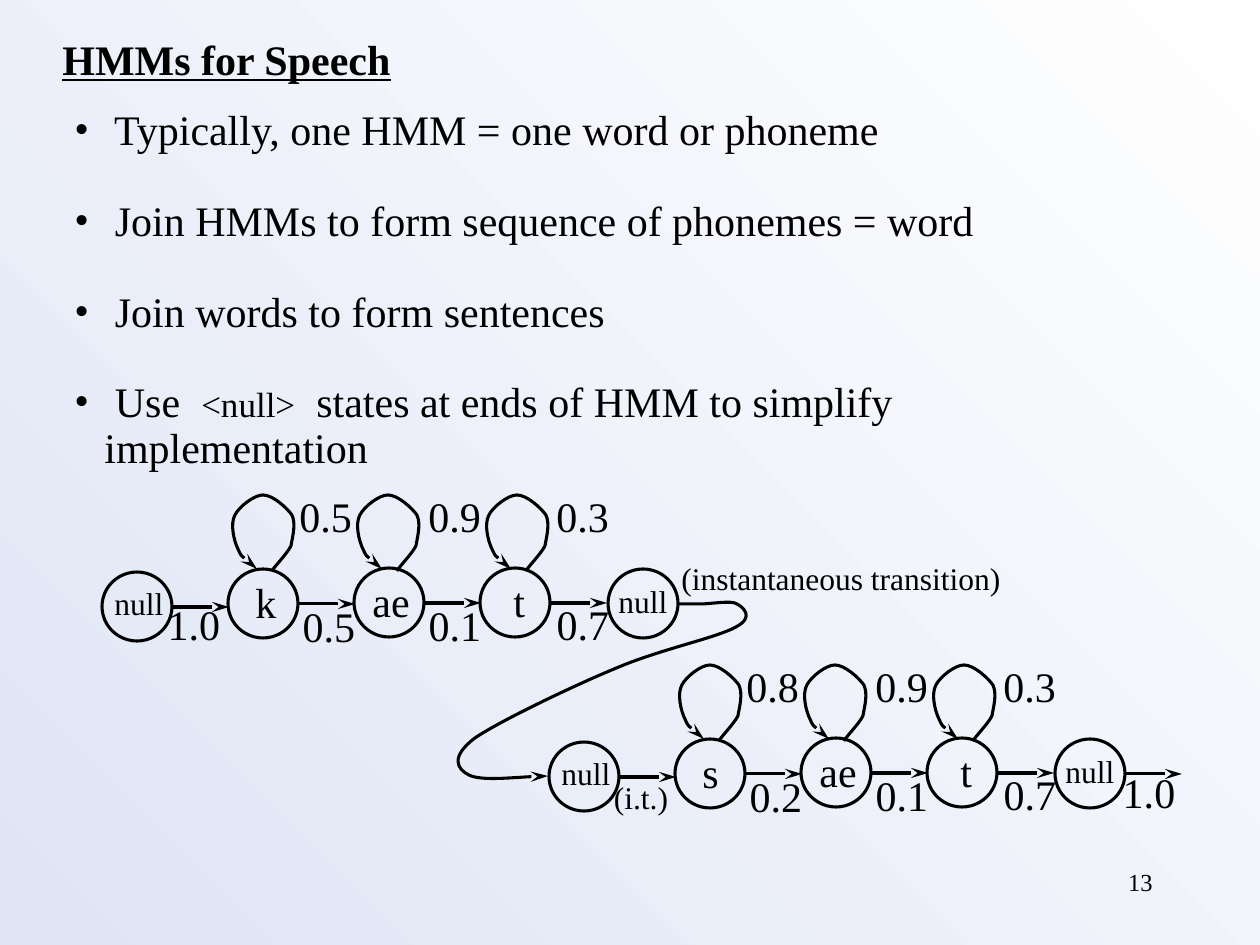
"""Build the slide on HMMs for speech with its two linked phoneme chains."""
from pptx import Presentation
from pptx.dml.color import RGBColor
from pptx.enum.shapes import MSO_CONNECTOR as CONN, MSO_SHAPE as SHAPE
from pptx.enum.text import MSO_ANCHOR as ANCHOR, PP_ALIGN as ALIGN
from pptx.oxml.ns import qn
from pptx.util import Pt
from lxml.etree import SubElement

PX = 914400 / 126
FONT = "Times New Roman"
COLORS = {"ink": "000000", "bg_start": "FFFFFF", "bg_end": "DFE5F5"}

TITLE = "HMMs for Speech"
BULLETS = [
    [(" Typically, one HMM = one word or phoneme", 24)],
    [(" Join HMMs to form sequence of phonemes = word", 24)],
    [(" Join words to form sentences", 24)],
    [(" Use  ", 24), ("<null>", 20),
     ("  states at ends of HMM to simplify implementation", 24)],
]
CHAINS = [
    {"offset": (0, 0), "states": ["null", "k", "ae", "t", "null"],
     "loops": ["0.5", "0.9", "0.3"], "steps": ["1.0", "0.5", "0.1", "0.7"]},
    {"offset": (447, 170), "states": ["null", "s", "ae", "t", "null"],
     "loops": ["0.8", "0.9", "0.3"], "steps": ["(i.t.)", "0.2", "0.1", "0.7", "1.0"]},
]
STATE_W, STATE_H, STEP_W = 70, 69, 57
STATE_AT = [(102, 572), (228, 569), (354, 568), (480, 568), (608, 569)]
NAME_AT = [(102, 582), (243, 576), (360, 575), (501, 575), (606, 580)]
LOOP_AT = [(230, 495), (355, 495), (484, 495)]
LOOP_LABEL_AT = [(287, 490), (416, 490), (544, 490)]
STEP_LABEL_AT = [(151, 598), (286, 600), (412, 599), (540, 598), (659, 596)]
LOOP = [(42, 76), (44, 72), (57, 59), (61, 51), (63, 40), (66, 29), (62, 20),
        (57, 13), (43, 0), (33, 0), (24, 0), (9, 12), (5, 20), (0, 29),
        (4, 46), (8, 54), (12, 63), (23, 71), (27, 74)]
LINK = [(678, 604), (684, 604), (692, 604), (701, 604), (711, 604), (732, 600),
        (737, 604), (743, 607), (755, 617), (736, 627), (716, 638), (662, 649),
        (619, 667), (575, 685), (500, 721), (475, 738), (450, 757), (457, 769),
        (469, 775), (481, 781), (532, 776), (548, 776)]


def emu(*lengths):
    return [round(v * PX) for v in lengths]


def rgb(name):
    return RGBColor.from_string(COLORS[name])


def add_text(s, paragraphs, box, size=24, bold=False, underline=False, align=ALIGN.LEFT,
             anchor=ANCHOR.TOP, spacing=0.9, bullet=False, gap=0):
    if isinstance(paragraphs, str):
        paragraphs = [[(paragraphs, size)]]
    tf = s.shapes.add_textbox(*emu(*box)).text_frame
    tf.word_wrap, tf.vertical_anchor = True, anchor
    for i, runs in enumerate(paragraphs):
        p = tf.add_paragraph() if i else tf.paragraphs[0]
        p.alignment, p.line_spacing = align, spacing
        if i:
            p.space_before = Pt(gap)
        if bullet:
            pPr = p._p.get_or_add_pPr()
            indent = emu(30)[0]
            pPr.set("marL", str(indent))
            pPr.set("indent", str(-indent))
            SubElement(pPr, qn("a:buFont")).set("typeface", FONT)
            SubElement(pPr, qn("a:buChar")).set("char", "•")
        for text, run_size in runs:
            r = p.add_run()
            r.text = text
            font = r.font
            font.name, font.size = FONT, Pt(run_size)
            font.bold, font.underline = bold, underline
            font.color.rgb = rgb("ink")


def style_line(shape, arrow=True):
    shape.line.color.rgb = rgb("ink")
    shape.line.width = Pt(1.75)
    if arrow:
        tail = SubElement(shape.line._get_or_add_ln(), qn("a:tailEnd"))
        tail.set("type", "stealth")
        tail.set("len", "lg")
    SubElement(shape.element.spPr, qn("a:effectLst"))


def add_state(s, x, y):
    state = s.shapes.add_shape(SHAPE.OVAL, *emu(x, y, STATE_W, STATE_H))
    state.fill.background()
    style_line(state, arrow=False)


def add_arrow(s, x, y):
    style_line(s.shapes.add_connector(CONN.STRAIGHT, *emu(x, y, x + STEP_W, y)))


def add_curve(s, points, dx=0, dy=0):
    points = [tuple(emu(x + dx, y + dy)) for x, y in points]
    builder = s.shapes.build_freeform(*points[0])
    builder.add_line_segments(points[1:], close=False)
    curve = builder.convert_to_shape()
    segments = list(curve.element.iter(qn("a:lnTo")))
    for i in range(0, len(segments), 3):
        first, *others = segments[i:i + 3]
        bezier = SubElement(first.getparent(), qn("a:cubicBezTo"))
        for segment in (first, *others):
            bezier.append(segment[0])
            segment.getparent().remove(segment)
    curve.fill.background()
    style_line(curve)


def add_label(s, text, x, y, w, **kwargs):
    small = len(text) > 3
    add_text(s, text, (x, y, w, 47 if small else 58), size=18 if small else 24, **kwargs)


def add_chain(s, chain):
    dx, dy = chain["offset"]
    widths = {"null": 80, "ae": 68}
    for name, (x, y), (tx, ty) in zip(chain["states"], STATE_AT, NAME_AT):
        add_state(s, x + dx, y + dy)
        add_label(s, name, tx + dx, ty + dy, widths.get(name, 50), anchor=ANCHOR.MIDDLE)
    for text, (x, y), (tx, ty) in zip(chain["loops"], LOOP_AT, LOOP_LABEL_AT):
        add_curve(s, LOOP, x + dx, y + dy)
        add_label(s, text, tx + dx, ty + dy, 86)
    for text, (x, y), (tx, ty) in zip(chain["steps"], STATE_AT, STEP_LABEL_AT):
        add_arrow(s, x + STATE_W + dx, y + 35 + dy)
        drop = 8 if text == "(i.t.)" else 0
        add_label(s, text, tx + dx, ty + dy + drop, 86, align=ALIGN.CENTER)


def main():
    prs = Presentation()
    prs.slide_width, prs.slide_height = emu(1260, 945)
    s = prs.slides.add_slide(prs.slide_layouts[6])
    fill = s.background.fill
    fill.gradient()
    fill.gradient_angle = 225
    for stop, name, position in zip(fill.gradient_stops, ("bg_start", "bg_end"), (0, 1)):
        stop.color.rgb, stop.position = rgb(name), position

    add_text(s, TITLE, (50, 27, 370, 63), bold=True, underline=True, spacing=1.0)
    add_text(s, BULLETS, (62, 103, 1101, 379), bullet=True, gap=26)
    for chain in CHAINS:
        add_chain(s, chain)
    add_curve(s, LINK)
    add_label(s, "(instantaneous transition)", 669, 557, 360, anchor=ANCHOR.MIDDLE)
    add_text(s, "13", (903, 861, 262, 63), size=14, align=ALIGN.RIGHT, spacing=1.0)
    prs.save("out.pptx")


if __name__ == "__main__":
    main()
